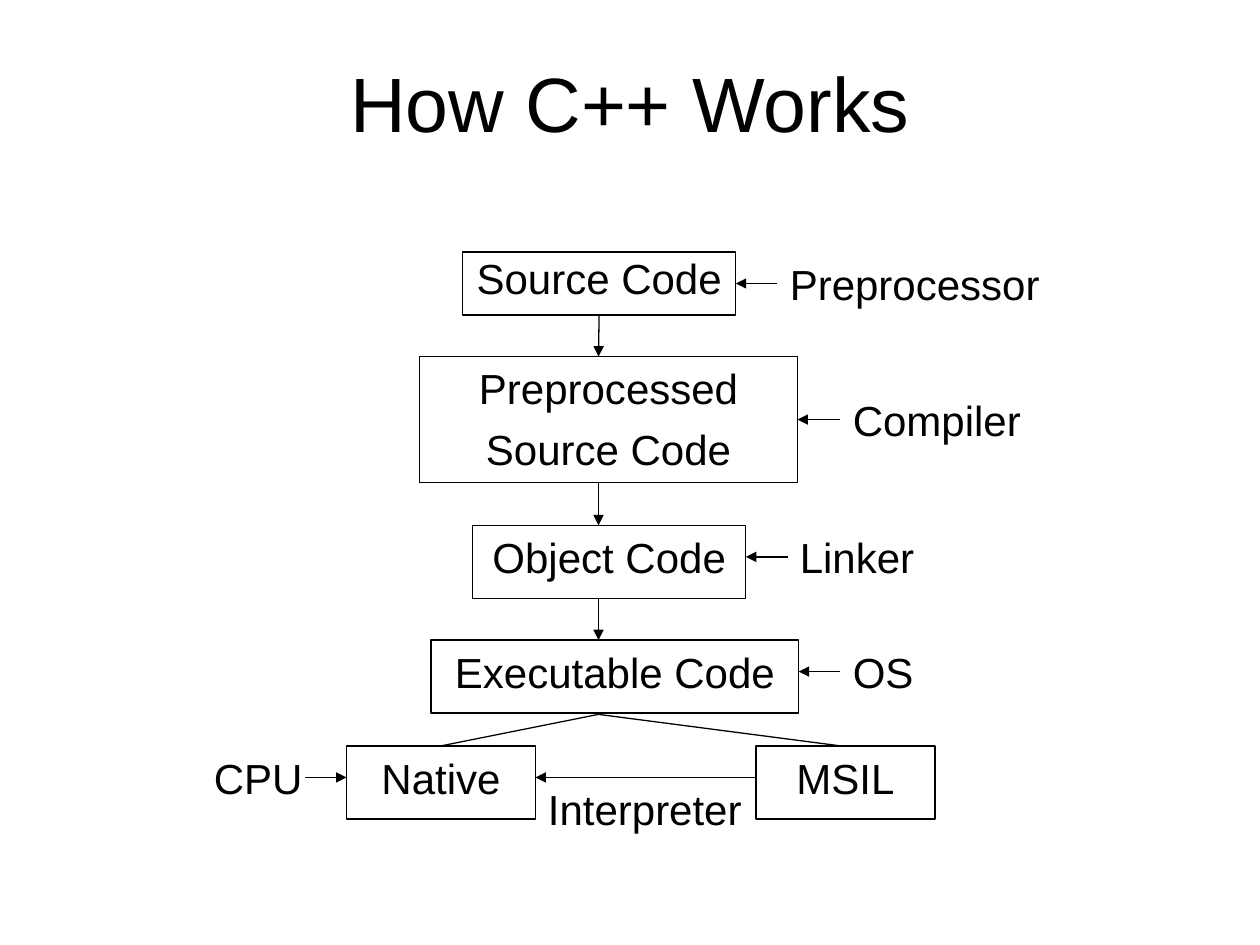
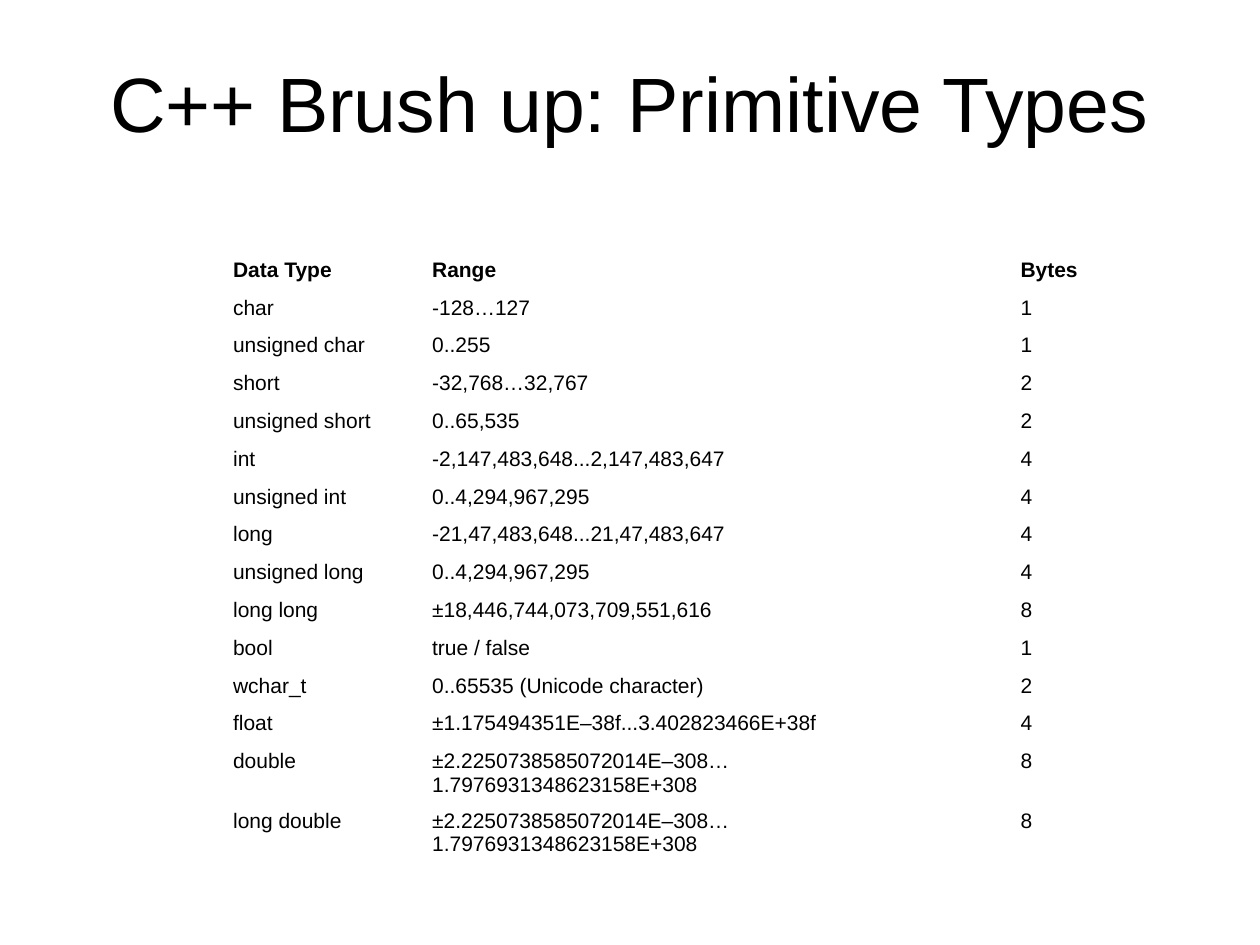
from dataclasses import dataclass

from lxml import etree
from pptx import Presentation
from pptx import util as u
from pptx.dml.color import RGBColor
from pptx.enum import shapes, text
from pptx.oxml.ns import qn
from pptx.util import Inches

TOP, LEFT, BOTTOM, RIGHT = range(4)
TITLE_SLIDE, TITLE_ONLY = 0, 5


@dataclass(frozen=True)
class Theme:
    font: str = "Arial"
    ink: RGBColor = RGBColor(0, 0, 0)
    title_size: int = 44
    diagram_size: int = 24
    table_size: int = 12
    line_width: float = 0.75
    diagram_gap: int = 6
    table_gap: int = 3


class Deck:
    """Holds the theme and the slide being filled."""

    def __init__(self, theme):
        self.theme = theme
        self.prs = Presentation()
        self.prs.slide_width, self.prs.slide_height = Inches(10), Inches(7.5)
        self.slide = None

    def add_slide(self, title, layout):
        self.slide = self.prs.slides.add_slide(self.prs.slide_layouts[layout])
        heading = self.slide.shapes.title
        self.place(heading, 0.75, 0, 8.5, 1.61)
        self.set_text(heading.text_frame, title, self.theme.title_size,
                      align=text.PP_ALIGN.CENTER, anchor=text.MSO_ANCHOR.MIDDLE)

    def place(self, shape, left, top, width, height):
        shape.left, shape.top = Inches(left), Inches(top)
        shape.width, shape.height = Inches(width), Inches(height)

    def style(self, paragraph, size, align, gap=0, bold=False):
        paragraph.alignment = align
        paragraph.space_before = u.Pt(gap)
        font = paragraph.font
        font.name, font.size, font.bold = self.theme.font, u.Pt(size), bold
        font.color.rgb = self.theme.ink

    def set_text(self, frame, words, size, align, gap=0, anchor=text.MSO_ANCHOR.TOP):
        frame.text = words
        frame.word_wrap = True
        frame.auto_size = text.MSO_AUTO_SIZE.NONE
        frame.vertical_anchor = anchor
        for paragraph in frame.paragraphs:
            self.style(paragraph, size, align, gap)

    def outline(self, line):
        line.color.rgb = self.theme.ink
        line.width = u.Pt(self.theme.line_width)

    def fill_stage(self, stage, words):
        self.outline(stage.line)
        self.set_text(stage.text_frame, words, self.theme.diagram_size,
                      text.PP_ALIGN.CENTER, self.theme.diagram_gap)

    def subtitle_stage(self, words, left, top, width, height):
        """Turn the subtitle placeholder into the first framed stage."""
        stage = self.slide.placeholders[1]
        self.place(stage, left, top, width, height)
        self.fill_stage(stage, words)
        stage.text_frame.paragraphs[0].line_spacing = 0.9
        return stage

    def stage(self, words, left, top, width, height=0.58):
        stage = self.slide.shapes.add_shape(
            shapes.MSO_SHAPE.RECTANGLE, Inches(left), Inches(top),
            Inches(width), Inches(height))
        stage.shadow.inherit = False
        stage.fill.background()
        self.fill_stage(stage, words)
        return stage

    def label(self, words, left, top, width=2.33, align=text.PP_ALIGN.LEFT):
        box = self.slide.shapes.add_textbox(
            Inches(left), Inches(top), Inches(width), Inches(0.58))
        self.set_text(box.text_frame, words, self.theme.diagram_size, align,
                      self.theme.diagram_gap)

    def connect(self, start, end, begin_at=None, end_at=None, arrow=True):
        """Draw a line; begin_at and end_at are (shape, side) pairs to join."""
        link = self.slide.shapes.add_connector(
            shapes.MSO_CONNECTOR.STRAIGHT, *map(Inches, start + end))
        if begin_at:
            link.begin_connect(*begin_at)
        if end_at:
            link.end_connect(*end_at)
        self.outline(link.line)
        properties = link._element.spPr
        if arrow:
            etree.SubElement(properties.find(qn("a:ln")), qn("a:tailEnd"), type="triangle")
        etree.SubElement(properties, qn("a:effectLst"))

    def table(self, rows, left, top, widths, row_height):
        table = self.slide.shapes.add_table(
            len(rows), len(widths), Inches(left), Inches(top),
            Inches(sum(widths)), Inches(row_height * len(rows))).table
        table.first_row = table.horz_banding = False
        for column, width in zip(table.columns, widths):
            column.width = Inches(width)
        for r, row in enumerate(rows):
            table.rows[r].height = Inches(row_height)
            for c, words in enumerate(row):
                cell = table.cell(r, c)
                cell.fill.background()
                cell.text = words
                self.style(cell.text_frame.paragraphs[0], self.theme.table_size,
                           text.PP_ALIGN.LEFT, self.theme.table_gap, bold=r == 0)


PRIMITIVE_TYPES = [
    ("Data Type", "Range", "Bytes"),
    ("char", "-128…127", "1"),
    ("unsigned char", "0..255", "1"),
    ("short", "-32,768…32,767", "2"),
    ("unsigned short", "0..65,535", "2"),
    ("int", "-2,147,483,648...2,147,483,647", "4"),
    ("unsigned int", "0..4,294,967,295", "4"),
    ("long", "-21,47,483,648...21,47,483,647", "4"),
    ("unsigned long", "0..4,294,967,295", "4"),
    ("long long", "±18,446,744,073,709,551,616", "8"),
    ("bool", "true / false", "1"),
    ("wchar_t", "0..65535 (Unicode character)", "2"),
    ("float", "±1.175494351E–38f...3.402823466E+38f", "4"),
    ("double", "±2.2250738585072014E–308…1.7976931348623158E+308", "8"),
    ("long double", "±2.2250738585072014E–308…1.7976931348623158E+308", "8"),
]


def build_pipeline(deck):
    deck.add_slide("How C++ Works", TITLE_SLIDE)
    source = deck.subtitle_stage("Source Code", 3.67, 2, 2.17, 0.5)
    preprocessed = deck.stage("Preprocessed\nSource Code", 3.33, 2.83, 3, 1)
    deck.stage("Object Code", 3.75, 4.17, 2.17)
    deck.stage("Executable Code", 3.42, 5.08, 2.92)
    native = deck.stage("Native", 2.75, 5.92, 1.5)
    deck.stage("MSIL", 6, 5.92, 1.42)

    spine = 4.75
    for bottom, next_top, begin_at in ((2.5, 2.83, (source, BOTTOM)),
                                       (3.83, 4.17, None), (4.75, 5.08, None)):
        deck.connect((spine, bottom), (spine, next_top), begin_at)

    tools = (
        ("Preprocessor", 6.17, 2, (source, RIGHT)),
        ("Compiler", 6.67, 3.08, (preprocessed, RIGHT)),
        ("Linker", 6.25, 4.17, None),
        ("OS", 6.67, 5.08, None),
    )
    for tool, left, top, end_at in tools:
        deck.label(tool, left, top)
        deck.connect((left, top + 0.25), (left - 0.33, top + 0.25), end_at=end_at)

    fork = (spine, 5.67)
    deck.connect(fork, (3.5, 5.92), end_at=(native, TOP), arrow=False)
    deck.connect(fork, (6.67, 5.92), arrow=False)
    deck.connect((6, 6.17), (4.25, 6.17))
    deck.label("Interpreter", 4.25, 6.17, 1.75)
    deck.connect((2.42, 6.17), (2.75, 6.17))
    deck.label("CPU", 1.5, 5.92, 1, text.PP_ALIGN.RIGHT)


def build_types(deck):
    deck.add_slide("C++ Brush up: Primitive Types", TITLE_ONLY)
    deck.table(PRIMITIVE_TYPES, 1.75, 2, (1.58, 4.67, 0.92), 0.3)


def main():
    deck = Deck(Theme())
    build_pipeline(deck)
    build_types(deck)
    deck.prs.save("out.pptx")


if __name__ == "__main__":
    main()
